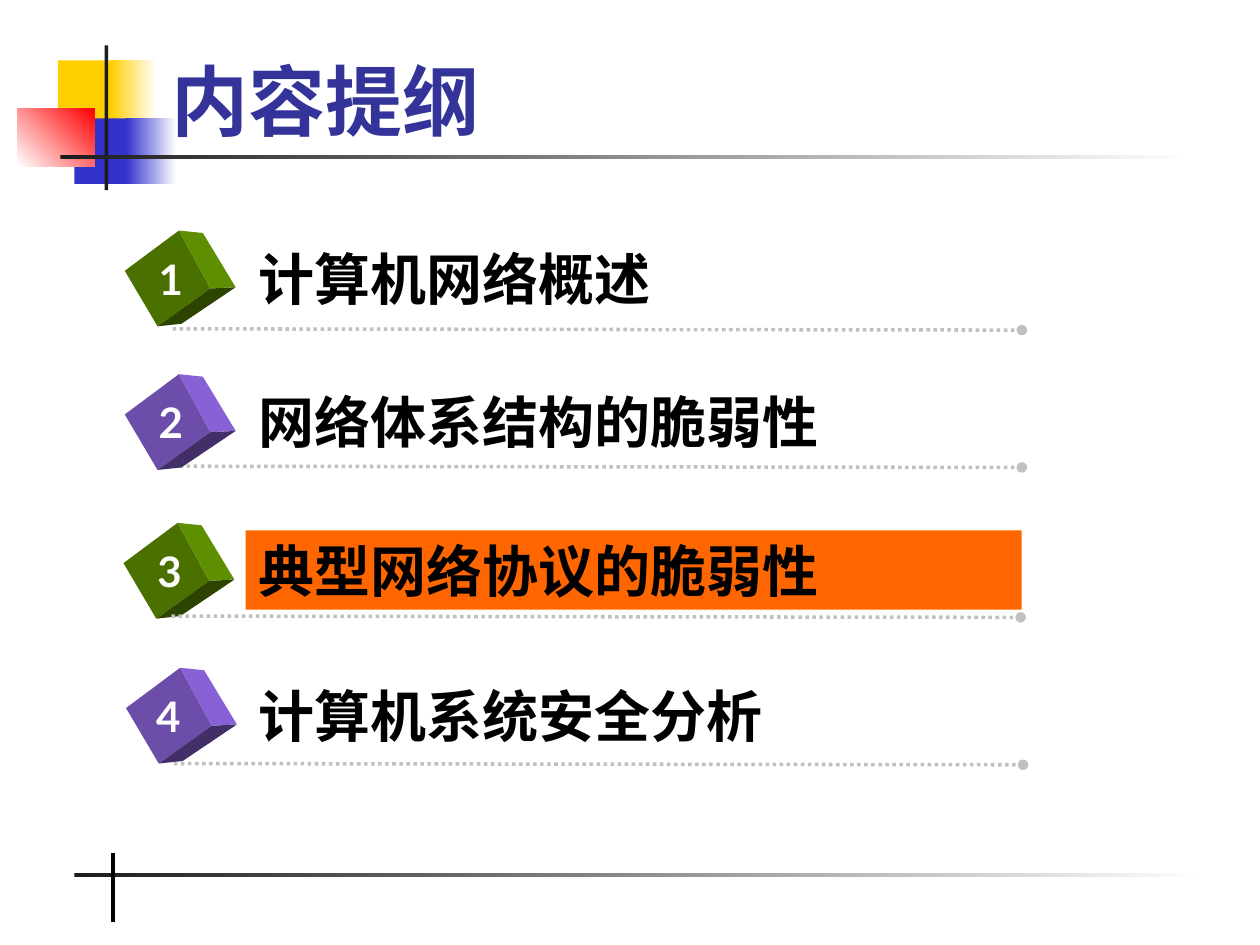
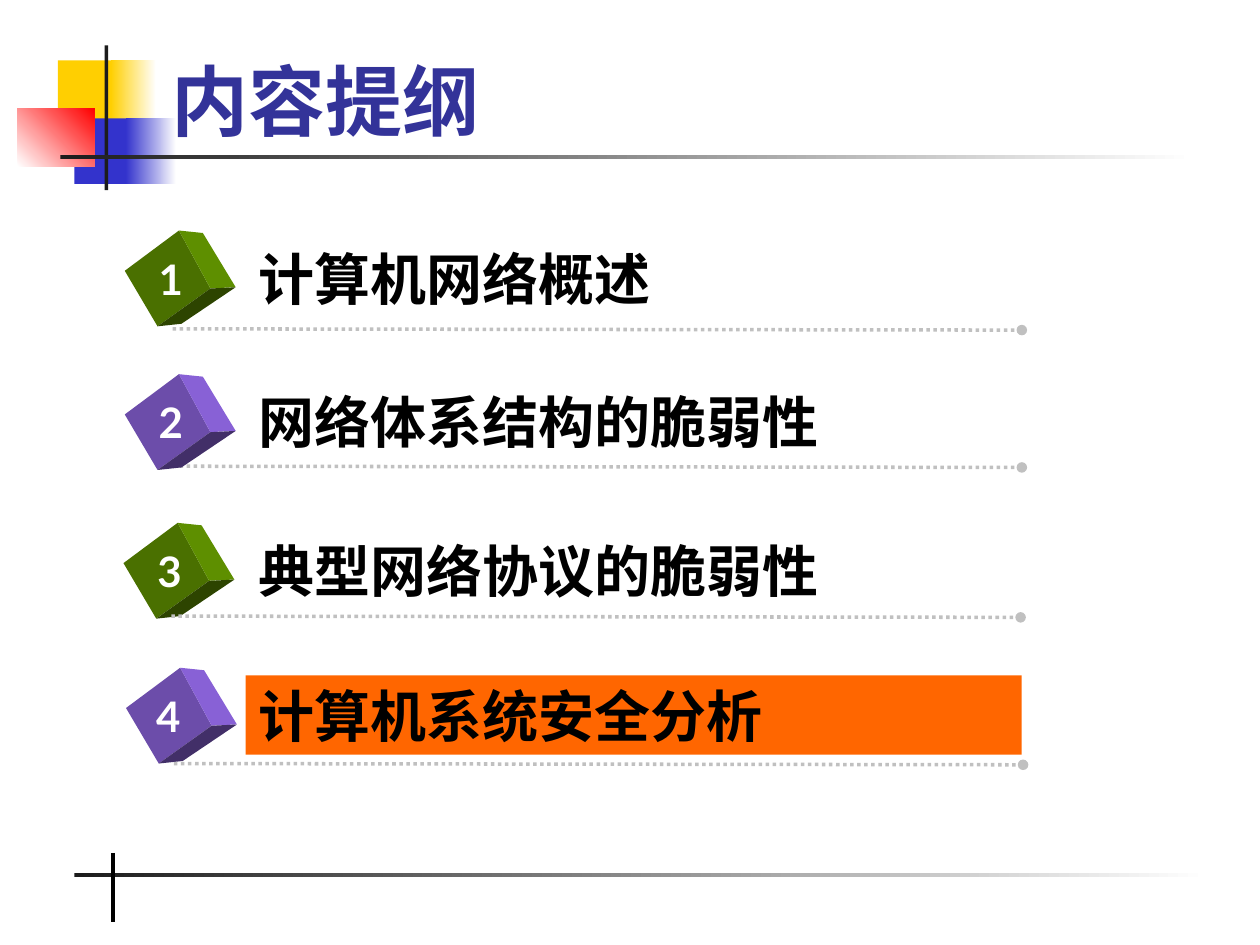
from typing import NamedTuple, Optional

from lxml import etree
from pptx import Presentation
from pptx.dml.color import RGBColor
from pptx.enum import dml, shapes, text
from pptx.oxml.ns import qn
from pptx.util import Inches, Pt

WHITE = RGBColor(0xFF, 0xFF, 0xFF)
BLACK = RGBColor(0x00, 0x00, 0x00)
YELLOW = RGBColor(0xFF, 0xCF, 0x01)
BLUE = RGBColor(0x33, 0x33, 0xCC)
RED = RGBColor(0xFF, 0x00, 0x00)
CHARCOAL = RGBColor(0x1C, 0x1C, 0x1C)
TITLE_BLUE = RGBColor(0x33, 0x33, 0x99)
GREY = RGBColor(0xC0, 0xC0, 0xC0)
ORANGE = RGBColor(0xFF, 0x66, 0x00)
BODY_FONT = "Times New Roman"
NUMBER_FONT = "Lato"


class Band(NamedTuple):
    left: float
    top: float
    width: float
    height: float
    start: RGBColor
    end: Optional[RGBColor] = None
    angle: float = 0


class CubeColours(NamedTuple):
    front: RGBColor
    side: RGBColor
    base: RGBColor


class Topic(NamedTuple):
    title: str
    left: float
    top: float
    colours: CubeColours
    number_left: float
    rule_top: float
    rule_behind: bool = False


GREEN_CUBE = CubeColours(RGBColor(0x4A, 0x70, 0x00), RGBColor(0x5E, 0x8F, 0x00),
                         RGBColor(0x2D, 0x44, 0x00))
PURPLE_CUBE = CubeColours(RGBColor(0x6C, 0x4D, 0xAA), RGBColor(0x88, 0x61, 0xD6),
                          RGBColor(0x42, 0x2F, 0x68))

# Faces of a numbered cube, as offsets from its position
CUBE_FACES = CubeColours(
    front=[(-0.08, 0.22), (0.35, -0.1), (0.6, 0.36), (0.18, 0.66)],
    side=[(0.35, -0.1), (0.54, -0.08), (0.8, 0.35), (0.6, 0.36)],
    base=[(0.18, 0.66), (0.6, 0.36), (0.8, 0.35), (0.37, 0.64)],
)

BANDS = [
    Band(0.46, 0.48, 0.48, 0.52, YELLOW),
    Band(0.88, 0.48, 0.36, 0.52, YELLOW, WHITE),
    Band(0.59, 0.94, 0.46, 0.52, BLUE),
    Band(1, 0.94, 0.4, 0.52, BLUE, WHITE),
    Band(0.14, 0.86, 0.61, 0.46, WHITE, RED, 45),
    Band(0.83, 0.36, 0.03, 1.15, CHARCOAL),
    Band(0.48, 1.23, 9, 0.03, CHARCOAL, WHITE),
    Band(0.59, 6.93, 9, 0.03, CHARCOAL, WHITE),
]

TOPICS = [
    Topic("计算机网络概述", 1.07, 1.93, GREEN_CUBE, 1.16, 2.61),
    Topic("网络体系结构的脆弱性", 1.07, 3.07, PURPLE_CUBE, 1.16, 3.7, True),
    Topic("典型网络协议的脆弱性", 1.06, 4.25, GREEN_CUBE, 1.15, 4.89),
    Topic("计算机系统安全分析", 1.08, 5.4, PURPLE_CUBE, 1.14, 6.06),
]


def add_rectangle(page, left: float, top: float, width: float, height: float):
    box = page.shapes.add_shape(shapes.MSO_SHAPE.RECTANGLE, Inches(left), Inches(top),
                                Inches(width), Inches(height))
    box.shadow.inherit = False
    box.line.fill.background()
    return box


def add_band(page, band: Band) -> None:
    fill = add_rectangle(page, band.left, band.top, band.width, band.height).fill
    if band.end is None:
        fill.solid()
        fill.fore_color.rgb = band.start
        return
    fill.gradient()
    fill.gradient_angle = band.angle
    for stop, colour in zip(fill.gradient_stops, (band.start, band.end)):
        stop.color.rgb = colour


def add_text(page, words: str, left: float, top: float, width: float, height: float, *,
             size: float, colour: RGBColor, font: str = BODY_FONT,
             align=text.PP_ALIGN.LEFT, anchor=text.MSO_ANCHOR.TOP,
             wrap: bool = True, grow: bool = True,
             fill: Optional[RGBColor] = None) -> None:
    if fill is None:
        box = page.shapes.add_textbox(Inches(left), Inches(top), Inches(width), Inches(height))
    else:
        box = add_rectangle(page, left, top, width, height)
        box.fill.solid()
        box.fill.fore_color.rgb = fill
    frame = box.text_frame
    frame.word_wrap = wrap
    frame.vertical_anchor = anchor
    frame.auto_size = (text.MSO_AUTO_SIZE.SHAPE_TO_FIT_TEXT if grow
                       else text.MSO_AUTO_SIZE.NONE)
    para = frame.paragraphs[0]
    para.alignment = align
    span = para.add_run()
    span.text = words
    span.font.name = font
    span.font.size = Pt(size)
    span.font.bold = True
    span.font.color.rgb = colour


def add_line(page, start: tuple[float, float], end: tuple[float, float],
             colour: RGBColor, width: float, dotted: bool = False) -> None:
    line = page.shapes.add_connector(shapes.MSO_CONNECTOR.STRAIGHT,
                                     *map(Inches, start + end))
    line.line.color.rgb = colour
    line.line.width = Pt(width)
    if dotted:
        line.line.dash_style = dml.MSO_LINE.ROUND_DOT
        etree.SubElement(line.line._get_or_add_ln(), qn("a:tailEnd"), type="oval")
    etree.SubElement(line._element.spPr, qn("a:effectLst"))


def add_cube(page, topic: Topic) -> None:
    for offsets, colour in zip(CUBE_FACES, topic.colours):
        corners = [(Inches(topic.left + x), Inches(topic.top + y)) for x, y in offsets]
        builder = page.shapes.build_freeform(*corners[0])
        builder.add_line_segments(corners[1:], close=True)
        face = builder.convert_to_shape()
        face.shadow.inherit = False
        face.fill.solid()
        face.fill.fore_color.rgb = colour
        face.line.fill.background()


def add_topic(page, number: int, topic: Topic, highlighted: bool) -> None:
    def add_rule() -> None:
        left = topic.left + 0.3
        add_line(page, (left, topic.rule_top), (left + 6.74, topic.rule_top + 0.01),
                 GREY, 2, dotted=True)

    if topic.rule_behind:
        add_rule()
    add_cube(page, topic)
    add_text(page, topic.title, 1.95, topic.top - 0.04, 6.16, 0.63, size=32,
             colour=BLACK, fill=ORANGE if highlighted else None)
    add_text(page, str(number), topic.number_left, topic.top + 0.03, 0.39, 0.5, size=24,
             colour=WHITE, font=NUMBER_FONT, align=text.PP_ALIGN.CENTER, wrap=False)
    if not topic.rule_behind:
        add_rule()


def add_agenda(deck, current: int) -> None:
    page = deck.slides.add_slide(deck.slide_layouts[6])
    # Corner squares, title rule and footer cross
    for band in BANDS:
        add_band(page, band)
    add_line(page, (0.9, 6.77), (0.9, 7.32), BLACK, 2.25)
    # Title and topics
    add_text(page, "内容提纲", 1.26, 0.16, 8.52, 1.05, size=44, colour=TITLE_BLUE,
             anchor=text.MSO_ANCHOR.BOTTOM, grow=False)
    for number, topic in enumerate(TOPICS, start=1):
        add_topic(page, number, topic, highlighted=number == current)


def main() -> None:
    deck = Presentation()
    deck.slide_width = Inches(10)
    deck.slide_height = Inches(7.5)
    for current in (3, 4):
        add_agenda(deck, current)
    deck.save("out.pptx")


if __name__ == "__main__":
    main()
